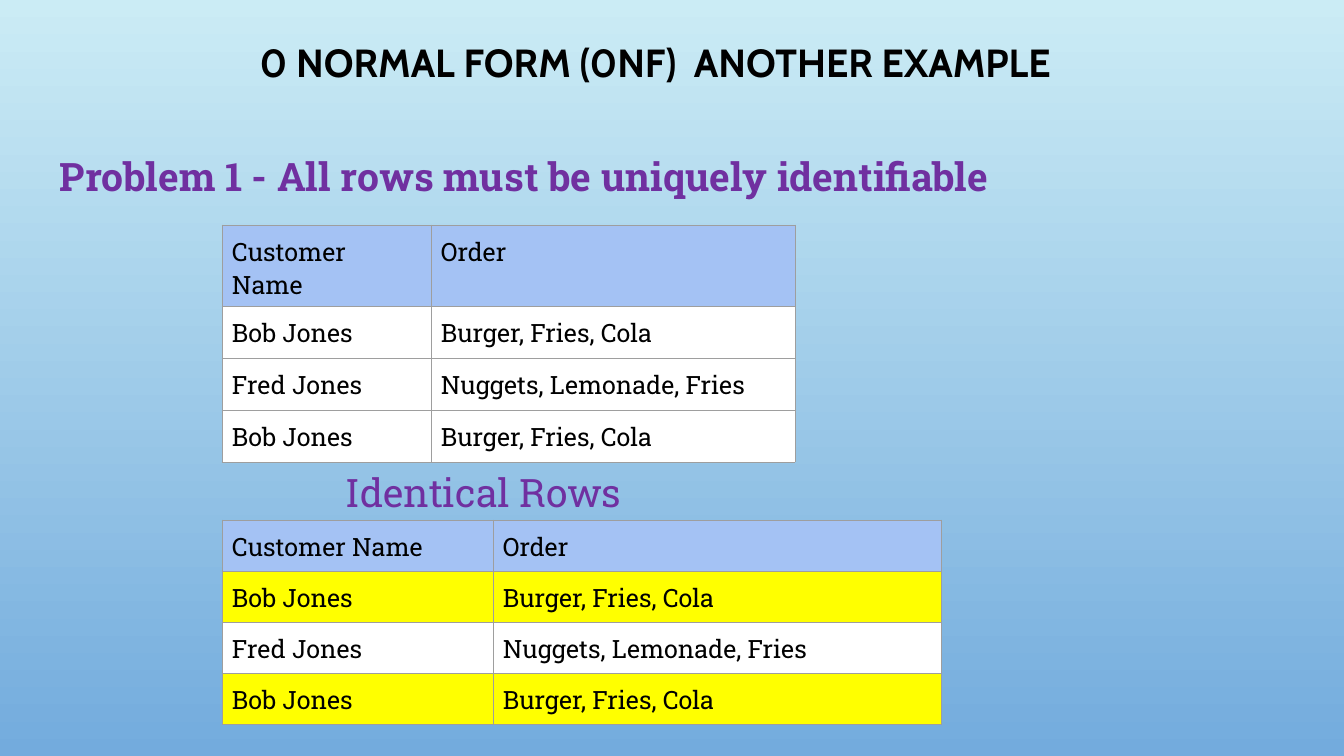
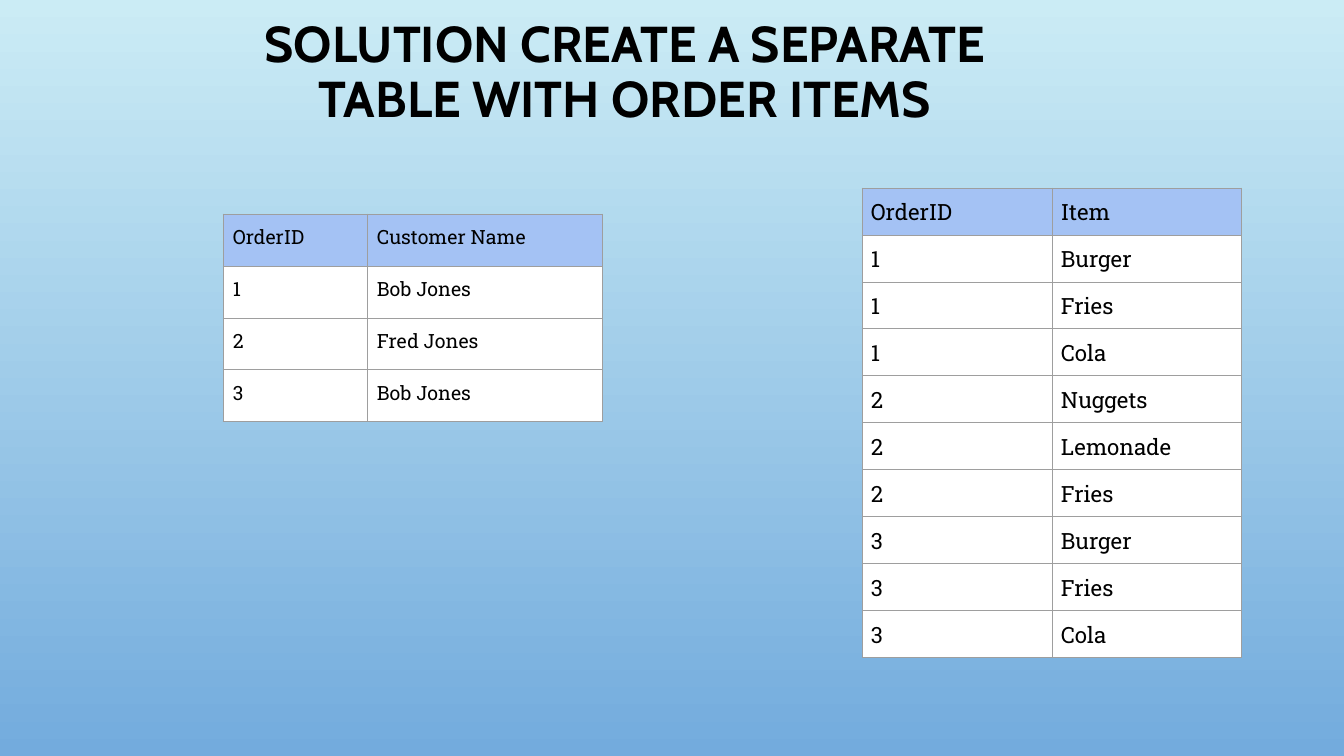
from dataclasses import dataclass

from lxml import etree
from pptx import Presentation
from pptx import util as u
from pptx.dml.color import RGBColor
from pptx.enum import text
from pptx.oxml import ns

EMU_PER_PX = 12192000 / 1344
COLORS = {
    "sky_top": "CBECF5",
    "sky_bottom": "73ABDD",
    "ink": "000000",
    "accent": "7030A0",
    "border": "9E9E9E",
    "header": "A4C2F4",
    "row": "FFFFFF",
    "highlight": "FFFF00",
}
TITLE_FONT = "Cabin"
BODY_FONT = "Roboto Slab"

CUSTOMER_ORDERS = [
    ("Customer Name", "Order"),
    ("Bob Jones", "Burger, Fries, Cola"),
    ("Fred Jones", "Nuggets, Lemonade, Fries"),
    ("Bob Jones", "Burger, Fries, Cola"),
]
ORDERS = [
    ("OrderID", "Customer Name"),
    ("1", "Bob Jones"),
    ("2", "Fred Jones"),
    ("3", "Bob Jones"),
]
ORDER_ITEMS = [
    ("OrderID", "Item"),
    ("1", "Burger"),
    ("1", "Fries"),
    ("1", "Cola"),
    ("2", "Nuggets"),
    ("2", "Lemonade"),
    ("2", "Fries"),
    ("3", "Burger"),
    ("3", "Fries"),
    ("3", "Cola"),
]


@dataclass(frozen=True)
class Grid:
    rows: list[tuple[str, str]]
    left: int
    top: int
    columns: tuple[int, int]
    row_height: int
    header_height: int
    size: int = 18
    margin: int = 10
    highlighted: tuple[int, ...] = ()


def px(length: int) -> u.Emu:
    return u.Emu(round(length * EMU_PER_PX))


def rgb(name: str) -> RGBColor:
    return RGBColor.from_string(COLORS[name])


def write(frame, words: str, *, size: int, font: str = BODY_FONT, color: str = "ink",
          bold: bool = False, align=text.PP_ALIGN.LEFT, line_spacing: float = 1.0) -> None:
    para = frame.paragraphs[0]
    para.alignment = align
    para.line_spacing = line_spacing
    span = para.add_run()
    span.text = words
    span.font.name = font
    span.font.size = u.Pt(size)
    span.font.bold = bold
    span.font.color.rgb = rgb(color)


def add_text(page, words: str, left: int, top: int, width: int, height: int, *,
             anchor=text.MSO_ANCHOR.TOP, **style) -> None:
    box = page.shapes.add_textbox(px(left), px(top), px(width), px(height))
    box.text_frame.word_wrap = True
    box.text_frame.vertical_anchor = anchor
    write(box.text_frame, words, **style)


def add_title(page, words: str, left: int, top: int, size: int) -> None:
    add_text(page, words, left, top, 866, 99, anchor=text.MSO_ANCHOR.BOTTOM, size=size,
             font=TITLE_FONT, bold=True, align=text.PP_ALIGN.CENTER, line_spacing=0.9)


def add_borders(cell) -> None:
    properties = cell._tc.get_or_add_tcPr()
    for side in ("lnL", "lnR", "lnT", "lnB"):
        line = etree.SubElement(properties, ns.qn(f"a:{side}"), w=str(u.Pt(0.75)))
        fill = etree.SubElement(line, ns.qn("a:solidFill"))
        etree.SubElement(fill, ns.qn("a:srgbClr"), val=COLORS["border"])


def row_color(grid: Grid, index: int) -> str:
    if index == 0:
        return "header"
    return "highlight" if index in grid.highlighted else "row"


def add_grid(page, grid: Grid) -> None:
    height = grid.header_height + grid.row_height * (len(grid.rows) - 1)
    table = page.shapes.add_table(
        len(grid.rows), len(grid.columns), px(grid.left), px(grid.top),
        px(sum(grid.columns)), px(height)).table
    table.first_row = table.horz_banding = False
    for column, width in zip(table.columns, grid.columns):
        column.width = px(width)
    for index, values in enumerate(grid.rows):
        table.rows[index].height = px(grid.row_height if index else grid.header_height)
        for column, words in enumerate(values):
            cell = table.cell(index, column)
            cell.margin_left = cell.margin_right = px(grid.margin)
            cell.margin_top = cell.margin_bottom = px(grid.margin)
            add_borders(cell)
            cell.fill.solid()
            cell.fill.fore_color.rgb = rgb(row_color(grid, index))
            write(cell.text_frame, words, size=grid.size)


def paint_background(deck) -> None:
    fill = deck.slide_master.background.fill
    fill.gradient()
    fill.gradient_angle = 270
    for stop, color in zip(fill.gradient_stops, ("sky_top", "sky_bottom")):
        stop.color.rgb = rgb(color)


def build_problem(page) -> None:
    add_title(page, "0 NORMAL FORM (0NF)  ANOTHER EXAMPLE", 222, -8, 28)
    add_text(page, "Problem 1 - All rows must be uniquely identifiable", 50, 124, 1100, 74,
             size=28, color="accent", bold=True, line_spacing=1.5)
    add_grid(page, Grid(CUSTOMER_ORDERS, 222, 225, (209, 364), 52, 81))
    add_grid(page, Grid(CUSTOMER_ORDERS, 222, 520, (271, 449), 51, 51, highlighted=(1, 3)))
    add_text(page, "Identical Rows", 336, 463, 672, 57, size=28, color="accent")


def build_solution(page) -> None:
    add_title(page, "SOLUTION CREATE A SEPARATE TABLE WITH ORDER ITEMS", 192, 34, 36)
    add_grid(page, Grid(ORDER_ITEMS, 862, 188, (190, 190), 47, 47, size=16, margin=9))
    add_grid(page, Grid(ORDERS, 223, 214, (144, 236), 52, 52, size=14))


def main() -> None:
    deck = Presentation()
    deck.slide_width, deck.slide_height = px(1344), px(756)
    paint_background(deck)
    for build in (build_problem, build_solution):
        build(deck.slides.add_slide(deck.slide_layouts[6]))
    deck.save("out.pptx")


if __name__ == "__main__":
    main()
